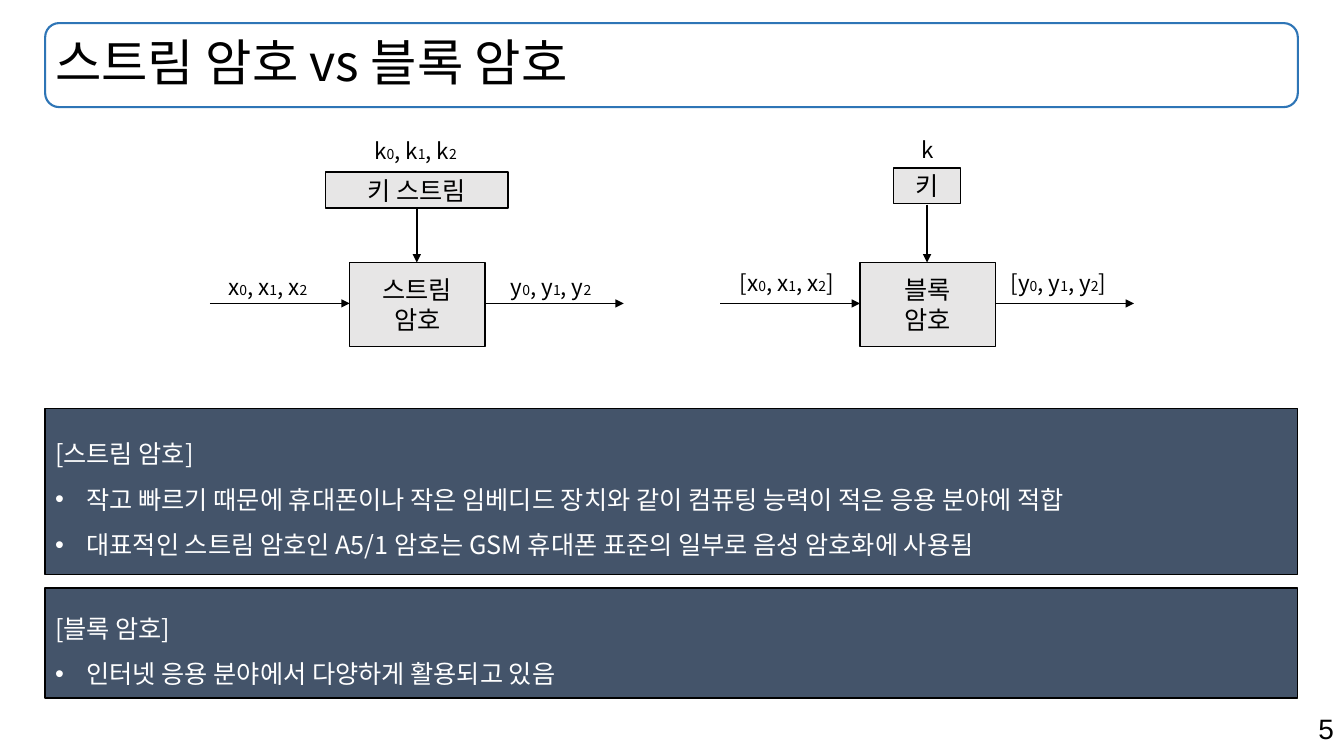
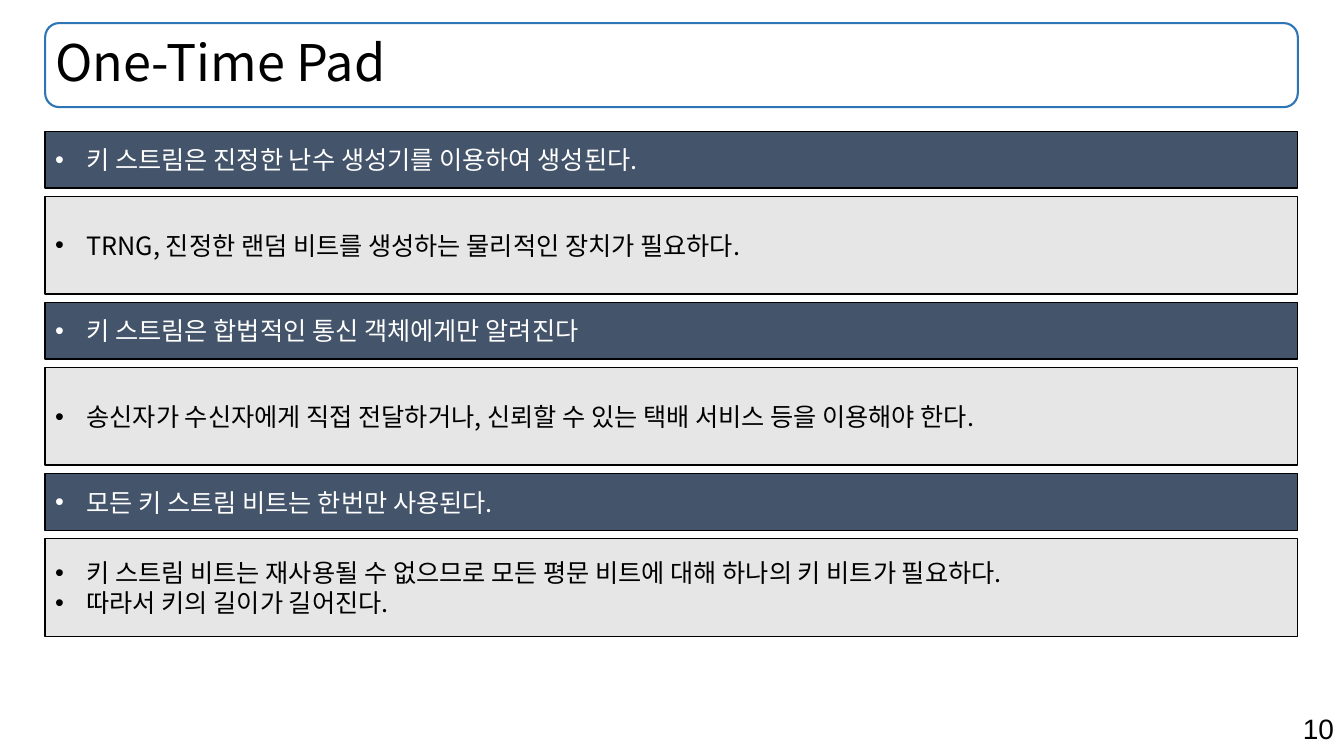
"""Builds two slides on stream ciphers, block ciphers and the one-time pad."""
from itertools import groupby

from lxml.etree import SubElement
from pptx import Presentation
from pptx.dml.color import RGBColor
from pptx.enum.shapes import MSO_CONNECTOR, MSO_SHAPE
from pptx.enum.text import MSO_ANCHOR, MSO_AUTO_SIZE, PP_ALIGN
from pptx.oxml.ns import qn
from pptx.util import Pt

PIXEL = 9525
BLACK, WHITE = "000000", "FFFFFF"
BLUE, NAVY, GREY = "2E75B6", "44546A", "E7E6E6"
BODY_FONT, NUMBER_FONT = "Noto Sans CJK KR", "Arial"
LEFT, WIDTH = 43, 1193
TITLE_BOX = (LEFT, 22, WIDTH, 80)
INDENT = 30


def px(*lengths):
    """Turn pixel lengths into EMU."""
    return [length * PIXEL for length in lengths]


def color(value):
    """Turn a hex string into a colour."""
    return RGBColor.from_string(value)


def add_bullet(paragraph):
    """Give a paragraph a round bullet with a hanging indent."""
    properties = paragraph._p.get_or_add_pPr()
    properties.set("marL", str(INDENT * PIXEL))
    properties.set("indent", str(-INDENT * PIXEL))
    SubElement(properties, qn("a:buFont")).set("typeface", "Arial")
    SubElement(properties, qn("a:buChar")).set("char", "•")


def write(paragraph, text, size=18, fill=BLACK, font=BODY_FONT,
          align=PP_ALIGN.LEFT, spacing=None, bullet=False):
    """Add a formatted run of text to a paragraph."""
    if bullet:
        add_bullet(paragraph)
    paragraph.alignment = align
    if spacing:
        paragraph.line_spacing = spacing
    run = paragraph.add_run()
    run.text = text
    run.font.size = Pt(size)
    run.font.color.rgb = color(fill)
    run.font.name = font
    SubElement(run.font._element, qn("a:ea")).set("typeface", font)


class Deck:
    """Holds the style and the current slide."""

    def __init__(self):
        """Start an empty widescreen presentation."""
        self.presentation = Presentation()
        self.presentation.slide_width, self.presentation.slide_height = px(1280, 720)
        self.slide = None

    def add_slide(self, title, number):
        """Start a slide with its framed title and page number."""
        layout = self.presentation.slide_layouts[5]
        self.slide = self.presentation.slides.add_slide(layout)
        self.add_shape(TITLE_BOX, line=BLUE, line_width=1.5,
                       preset=MSO_SHAPE.ROUNDED_RECTANGLE)
        shape = self.slide.shapes.title
        shape.left, shape.top, shape.width, shape.height = px(*TITLE_BOX)
        frame = shape.text_frame
        frame.word_wrap = True
        frame.auto_size = MSO_AUTO_SIZE.NONE
        frame.vertical_anchor = MSO_ANCHOR.MIDDLE
        write(frame.paragraphs[0], title, size=36, spacing=0.9)
        paragraph = self.add_text_box((905, 673, 375, 42), wrap=True)
        write(paragraph, str(number), size=20, font=NUMBER_FONT, align=PP_ALIGN.RIGHT)

    def add_shape(self, box, fill=None, line=BLACK, line_width=1,
                  preset=MSO_SHAPE.RECTANGLE):
        """Add an outlined shape, filled if a colour is given."""
        shape = self.slide.shapes.add_shape(preset, *px(*box))
        shape.shadow.inherit = False
        if fill:
            shape.fill.solid()
            shape.fill.fore_color.rgb = color(fill)
        else:
            shape.fill.background()
        shape.line.color.rgb = color(line)
        shape.line.width = Pt(line_width)
        return shape

    def add_panel(self, box, lines, fill=GREY, **text_format):
        """Add a filled box of text; lines starting with • become bullets."""
        frame = self.add_shape(box, fill).text_frame
        frame.word_wrap = True
        frame.vertical_anchor = MSO_ANCHOR.MIDDLE
        text_color = WHITE if fill == NAVY else BLACK
        for index, line in enumerate(lines):
            paragraph = frame.add_paragraph() if index else frame.paragraphs[0]
            write(paragraph, line.removeprefix("• "), fill=text_color,
                  bullet=line.startswith("•"), **text_format)

    def add_text_box(self, box, wrap=False):
        """Add a text box and return its first paragraph."""
        frame = self.slide.shapes.add_textbox(*px(*box)).text_frame
        frame.word_wrap = wrap
        frame.auto_size = MSO_AUTO_SIZE.SHAPE_TO_FIT_TEXT
        return frame.paragraphs[0]

    def add_label(self, left, top, width, text):
        """Add a formula label whose digits are small indices."""
        paragraph = self.add_text_box((left, top, width, 36))
        for is_index, letters in groupby(text, str.isdigit):
            write(paragraph, "".join(letters), size=10 if is_index else 16)

    def add_arrow(self, *ends):
        """Add a straight arrow between two points."""
        connector = self.slide.shapes.add_connector(MSO_CONNECTOR.STRAIGHT, *px(*ends))
        connector.line.color.rgb = color(BLACK)
        connector.line.width = Pt(1)
        outline = connector.line._get_or_add_ln()
        SubElement(outline, qn("a:tailEnd")).set("type", "triangle")
        SubElement(connector._element.spPr, qn("a:effectLst"))

    def add_cipher(self, left, cipher, key, key_top, key_width, labels):
        """Add a cipher diagram whose input arrow starts at left."""
        box_left, box_right = left + 133, left + 262
        center = left + 197
        self.add_panel((box_left, 250, 129, 80), [cipher, "암호"], align=PP_ALIGN.CENTER)
        self.add_arrow(left, 289, box_left, 289)
        self.add_arrow(box_right, 289, left + 394, 289)
        self.add_arrow(center, 195, center, 250)
        self.add_panel((center - key_width // 2, key_top, key_width, 34), [key],
                       align=PP_ALIGN.CENTER)
        for label in labels:
            self.add_label(*label)


def add_comparison(deck):
    """Build the slide that compares stream and block ciphers."""
    deck.add_slide("스트림 암호 vs 블록 암호", 5)
    deck.add_panel((LEFT, 389, WIDTH, 158), [
        "[스트림 암호]",
        "• 작고 빠르기 때문에 휴대폰이나 작은 임베디드 장치와 같이 컴퓨팅 능력이 적은 응용 분야에 적합",
        "• 대표적인 스트림 암호인 A5/1 암호는 GSM 휴대폰 표준의 일부로 음성 암호화에 사용됨",
    ], NAVY, spacing=1.5)
    deck.add_panel((LEFT, 560, WIDTH, 105), [
        "[블록 암호]",
        "• 인터넷 응용 분야에서 다양하게 활용되고 있음",
    ], NAVY, spacing=1.5)
    deck.add_cipher(200, "스트림", "키 스트림", 164, 174, [
        (208, 255, 102, "x0, x1, x2"),
        (477, 255, 102, "y0, y1, y2"),
        (347, 126, 104, "k0, k1, k2"),
    ])
    deck.add_cipher(686, "블록", "키", 160, 64, [
        (695, 252, 118, "[x0, x1, x2]"),
        (953, 252, 118, "[y0, y1, y2]"),
        (868, 125, 32, "k"),
    ])


def add_one_time_pad(deck):
    """Build the slide that pairs each condition with its consequence."""
    deck.add_slide("One-Time Pad", 10)
    conditions = [
        ("• 키 스트림은 진정한 난수 생성기를 이용하여 생성된다.",
         ["• TRNG, 진정한 랜덤 비트를 생성하는 물리적인 장치가 필요하다."]),
        ("• 키 스트림은 합법적인 통신 객체에게만 알려진다",
         ["• 송신자가 수신자에게 직접 전달하거나, 신뢰할 수 있는 택배 서비스 등을 이용해야 한다."]),
        ("• 모든 키 스트림 비트는 한번만 사용된다.",
         ["• 키 스트림 비트는 재사용될 수 없으므로 모든 평문 비트에 대해 하나의 키 비트가 필요하다.",
          "• 따라서 키의 길이가 길어진다."]),
    ]
    for index, (condition, consequences) in enumerate(conditions):
        top = 125 + 163 * index
        deck.add_panel((LEFT, top, WIDTH, 54), [condition], NAVY)
        deck.add_panel((LEFT, top + 62, WIDTH, 93), consequences)


def main():
    """Build and save the presentation."""
    deck = Deck()
    add_comparison(deck)
    add_one_time_pad(deck)
    deck.presentation.save("out.pptx")


if __name__ == "__main__":
    main()
